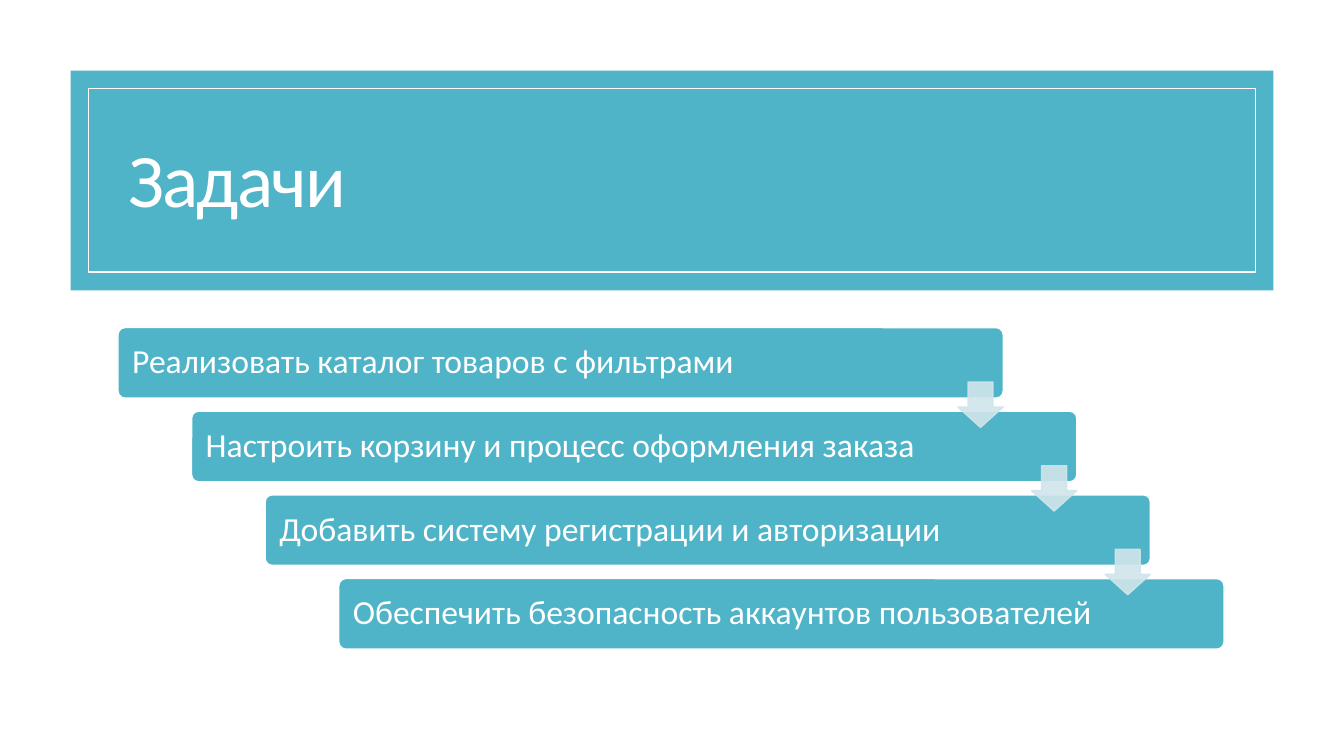
from lxml import etree
from pptx import Presentation, util as u
from pptx.dml.color import RGBColor
from pptx.enum import shapes, text
from pptx.oxml.ns import qn

COLORS = {"teal": "50B4C8", "white": "FFFFFF", "pale": "D0E5EB"}
TASKS = [
    "Реализовать каталог товаров с фильтрами",
    "Настроить корзину и процесс оформления заказа",
    "Добавить систему регистрации и авторизации",
    "Обеспечить безопасность аккаунтов пользователей",
]
FIRST_LEFT, FIRST_TOP = 1.17, 3.25
STEP_X, STEP_Y = 0.73, 0.83
STEP_WIDTH, STEP_HEIGHT = 8.78, 0.7
ARROW_SIZE = 0.45
ARROW_DROP = 0.54


class TaskSlide:
    font_name = "Calibri"

    def __init__(self, deck):
        self.page = deck.slides.add_slide(deck.slide_layouts[5])

    def shape(self, kind, left, top, width, height, fill=None, line=None):
        shape = self.page.shapes.add_shape(
            kind, *(u.Inches(value) for value in (left, top, width, height)))
        shape.shadow.inherit = False
        if fill:
            shape.fill.solid()
            shape.fill.fore_color.rgb = RGBColor.from_string(COLORS[fill])
        else:
            shape.fill.background()
        if line:
            shape.line.color.rgb = RGBColor.from_string(COLORS[line])
            shape.line.width = u.Pt(1)
        else:
            shape.line.fill.background()
        return shape

    def label(self, box, words, size, spacing, inset):
        frame = box.text_frame
        frame.text = words
        frame.word_wrap = True
        frame.auto_size = text.MSO_AUTO_SIZE.NONE
        frame.vertical_anchor = text.MSO_ANCHOR.MIDDLE
        frame.margin_left = frame.margin_right = u.Inches(inset)
        para = frame.paragraphs[0]
        para.alignment = text.PP_ALIGN.LEFT
        para.line_spacing = spacing
        para.font.name = self.font_name
        para.font.size = u.Pt(size)
        para.font.color.rgb = RGBColor.from_string(COLORS["white"])

    def title(self, words):
        """Fill the title placeholder and set its framed band behind it."""
        title = self.page.shapes.title
        title.left, title.top = u.Inches(1.17), u.Inches(1.16)
        title.width, title.height = u.Inches(10.98), u.Inches(1.34)
        self.label(title, words, 54, 0.85, 0.1)
        for properties in title.element.iter(qn("a:defRPr")):
            properties.set("spc", "-120")
        rectangle = shapes.MSO_SHAPE.RECTANGLE
        band = self.shape(rectangle, 0.7, 0.7, 11.93, 2.18, fill="teal")
        frame = self.shape(rectangle, 0.88, 0.88, 11.57, 1.82, line="white")
        for backdrop in (band, frame):
            title.element.addprevious(backdrop.element)

    def step(self, left, top, words):
        box = self.shape(shapes.MSO_SHAPE.ROUNDED_RECTANGLE, left, top,
                         STEP_WIDTH, STEP_HEIGHT, "teal", "white")
        box.adjustments[0] = 0.1
        self.label(box, words, 24, 0.9, 0.12)

    def arrow(self, left, top):
        arrow = self.shape(shapes.MSO_SHAPE.DOWN_ARROW, left, top,
                           ARROW_SIZE, ARROW_SIZE, "pale", "pale")
        arrow.adjustments[0], arrow.adjustments[1] = 0.55, 0.45
        for color in arrow.element.spPr.iter(qn("a:srgbClr")):
            etree.SubElement(color, qn("a:alpha"), val="90000")


def main():
    deck = Presentation()
    deck.slide_width, deck.slide_height = u.Inches(13.33), u.Inches(7.5)
    slide = TaskSlide(deck)
    slide.title("Задачи")
    corners = [(FIRST_LEFT + STEP_X * index, FIRST_TOP + STEP_Y * index)
               for index in range(len(TASKS))]
    for (left, top), task in zip(corners, TASKS):
        slide.step(left, top, task)
    for left, top in corners[:-1]:
        slide.arrow(left + STEP_WIDTH - ARROW_SIZE, top + ARROW_DROP)
    deck.save("out.pptx")


if __name__ == "__main__":
    main()
